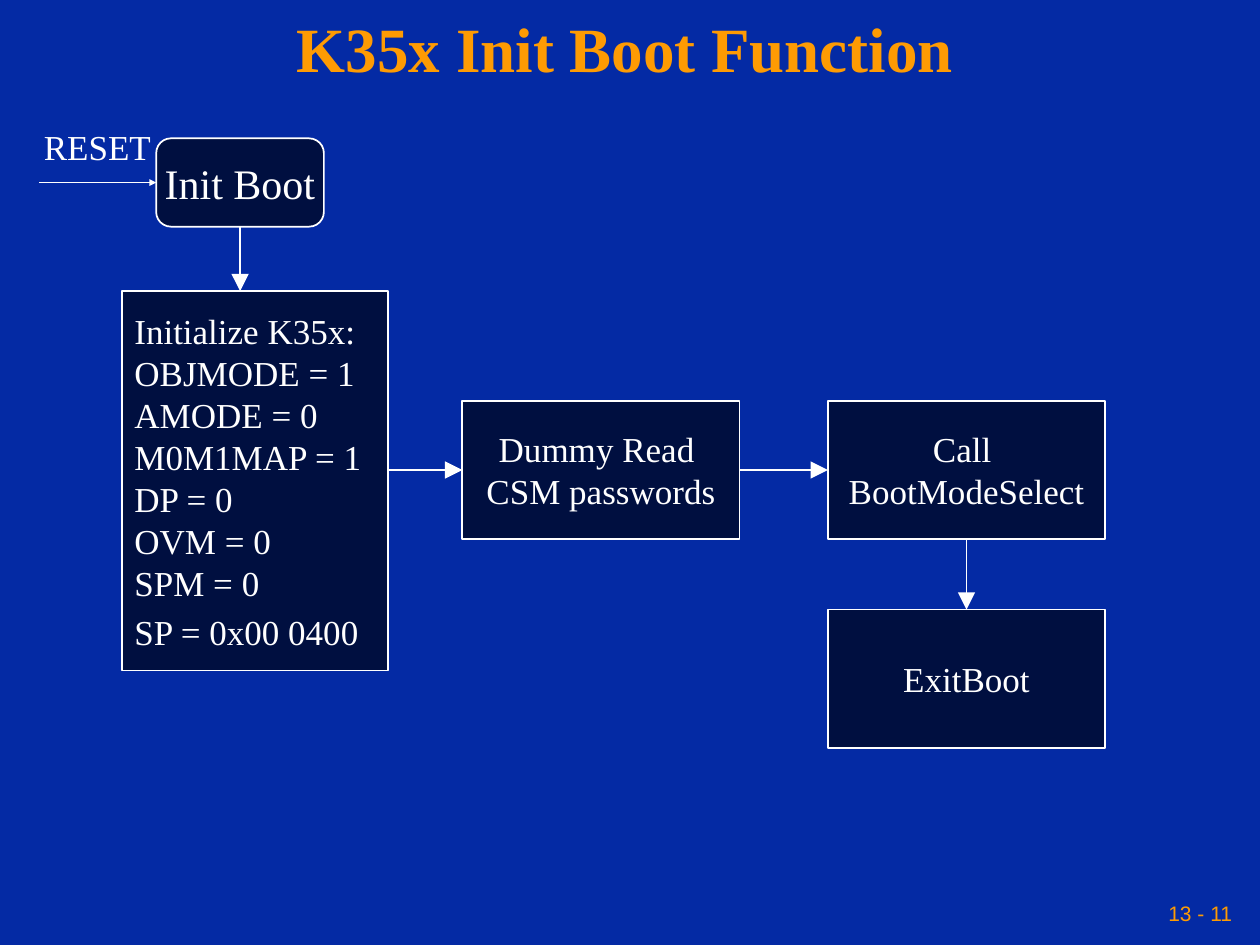
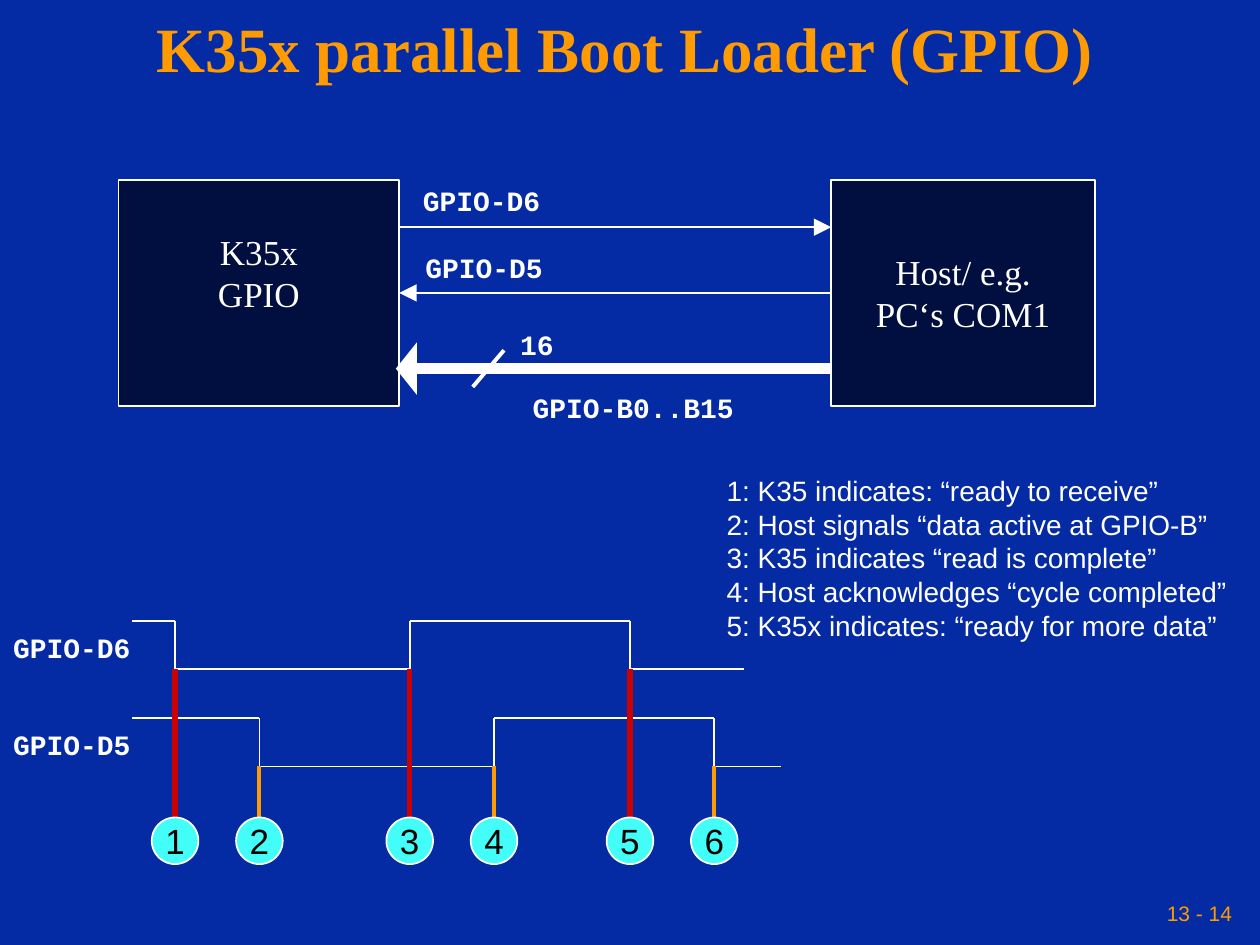
from itertools import pairwise

from lxml import etree
from pptx import Presentation
from pptx.dml.color import RGBColor
from pptx.enum.shapes import MSO_CONNECTOR, MSO_SHAPE
from pptx.enum.text import MSO_ANCHOR as ANCHOR, MSO_AUTO_SIZE, PP_ALIGN as ALIGN
from pptx.oxml.ns import qn
from pptx.util import Cm, Pt

BLUE = RGBColor(0x04, 0x2A, 0xA4)
NAVY = RGBColor(0x00, 0x0F, 0x40)
ORANGE = RGBColor(0xFE, 0x9B, 0x03)
RED = RGBColor(0xCC, 0x00, 0x00)
CYAN = RGBColor(0x43, 0xFD, 0xF9)
WHITE = RGBColor(0xFF, 0xFF, 0xFF)
BLACK = RGBColor(0x00, 0x00, 0x00)
SERIF, SANS, MONO = "Times New Roman", "Arial", "Courier New"


def write(sp, lines, size, font, color=WHITE, bold=False, align=ALIGN.CENTER,
          anchor=ANCHOR.TOP, wrap=False, inset=0.25):
    tf = sp.text_frame
    tf.auto_size = MSO_AUTO_SIZE.NONE
    tf.word_wrap = wrap
    tf.vertical_anchor = anchor
    tf.margin_left = tf.margin_right = Cm(inset)
    tf.margin_top = tf.margin_bottom = Cm(0.13)
    for i, line in enumerate(lines):
        p = tf.add_paragraph() if i else tf.paragraphs[0]
        p.alignment = align
        r = p.add_run()
        r.text = line
        r.font.size = Pt(size)
        r.font.name = font
        r.font.bold = bold
        r.font.color.rgb = color
    return tf


def label(s, x, y, w, h, lines, size, font, **style):
    sp = s.shapes.add_textbox(Cm(x), Cm(y), Cm(w), Cm(h))
    write(sp, lines, size, font, **style)


def signal_label(s, x, y, w, text):
    label(s, x, y, w, 0.94, [text], 16, MONO, bold=True)


def block(s, x, y, w, h, lines, kind=MSO_SHAPE.RECTANGLE, fill=NAVY,
          size=20, font=SERIF, **style):
    sp = s.shapes.add_shape(kind, Cm(x), Cm(y), Cm(w), Cm(h))
    sp.shadow.inherit = False
    sp.fill.solid()
    sp.fill.fore_color.rgb = fill
    sp.line.color.rgb = WHITE
    sp.line.width = Pt(1)
    write(sp, lines, size, font, anchor=ANCHOR.MIDDLE, **style)
    return sp


def line(s, x1, y1, x2, y2, color=WHITE, width=1, head=None, begin=None, end=None):
    c = s.shapes.add_connector(MSO_CONNECTOR.STRAIGHT, Cm(x1), Cm(y1), Cm(x2), Cm(y2))
    c.line.color.rgb = color
    c.line.width = Pt(width)
    if head:
        w, length = head
        etree.SubElement(c.line._get_or_add_ln(), qn("a:tailEnd"),
                         type="triangle", w=w, len=length)
    etree.SubElement(c._element.spPr, qn("a:effectLst"))
    if begin:
        c.begin_connect(*begin)
    if end:
        c.end_connect(*end)


SMALL, LARGE, BROAD = ("sm", "sm"), ("lg", "lg"), ("lg", "sm")


def base_slide(prs, title, number):
    s = prs.slides.add_slide(prs.slide_layouts[5])
    sp = s.shapes.title
    sp.left, sp.top, sp.width, sp.height = Cm(0), Cm(0), Cm(25.2), Cm(2.11)
    tf = write(sp, [title], 36, SERIF, color=ORANGE, bold=True,
               anchor=ANCHOR.MIDDLE, wrap=True, inset=0.13)
    tf.paragraphs[0].line_spacing = 0.9
    label(s, 17.35, 17.98, 7.62, 0.84, [f"13 - {number}"], 12, SANS, color=ORANGE,
          align=ALIGN.RIGHT, anchor=ANCHOR.MIDDLE, wrap=True, inset=0.13)
    return s


def boot_flow(s, x, y):
    step_w, step_h = 5.59, 2.79
    row_y, last_x = y + 5.67, x + 16.06
    mid_y = row_y + step_h / 2
    boot = block(s, x + 2.52, y + 0.38, 3.38, 1.78, ["Init Boot"],
                 kind=MSO_SHAPE.FLOWCHART_ALTERNATE_PROCESS, size=24)
    setup = block(s, x + 1.83, y + 3.46, 5.36, 7.65,
                  ["Initialize K35x:", "OBJMODE = 1", "AMODE = 0", "M0M1MAP = 1",
                   "DP = 0", "OVM = 0", "SPM = 0", "SP = 0x00 0400"],
                  align=ALIGN.LEFT, wrap=True)
    setup.text_frame.paragraphs[-1].space_before = Pt(4)
    dummy = block(s, x + 8.69, row_y, step_w, step_h, ["Dummy Read ", "CSM passwords"])
    call = block(s, last_x, row_y, step_w, step_h, ["Call ", "BootModeSelect"])
    leave = block(s, last_x, y + 9.88, step_w, step_h, ["ExitBoot"])

    label(s, x, y, 2.67, 1.12, ["RESET"], 20, SERIF)
    line(s, x + 0.16, y + 1.27, x + 2.52, y + 1.27, head=SMALL, end=(boot, 1))
    boot_x = x + 2.52 + 3.38 / 2
    line(s, boot_x, y + 2.16, boot_x, y + 3.46, head=LARGE, begin=(boot, 2))
    line(s, x + 7.19, mid_y, x + 8.69, mid_y, head=LARGE, end=(dummy, 1))
    line(s, 0, 0, 0, 0, head=LARGE, begin=(dummy, 3), end=(call, 1))
    line(s, 0, 0, 0, 0, head=LARGE, begin=(call, 2), end=(leave, 0))


def gpio_link(s, x, y):
    chip_w, host_x, h = 5.66, x + 14.37, 4.55
    chip = block(s, x, y, chip_w, h, ["K35x", "GPIO"])
    chip.text_frame.margin_bottom = Cm(0.94)
    host = block(s, host_x, y, 5.31, h, ["Host/ e.g.", "PC‘s COM1"])
    right = x + chip_w
    bus_y = y + 3.8
    line(s, right, y + 0.95, host_x, y + 0.95, head=LARGE)
    line(s, 0, 0, 0, 0, head=LARGE, begin=(host, 1), end=(chip, 3))
    line(s, host_x, bus_y, right - 0.07, bus_y, width=6, head=BROAD)
    line(s, x + 7.77, bus_y - 0.37, x + 7.14, bus_y + 0.37, width=2.25)
    signal_label(s, x + 5.87, y - 0.05, 2.9, "GPIO-D6")
    signal_label(s, x + 5.92, y + 1.3, 2.9, "GPIO-D5")
    signal_label(s, x + 7.85, y + 2.85, 1.17, "16")
    signal_label(s, x + 8.1, y + 4.12, 4.55, "GPIO-B0..B15")


def timing(s, x, y):
    swing, marker_y, d = 0.97, y + 3.96, 0.94
    edges = [x + 3.53, x + 8.26, x + 12.7]
    signals = [("GPIO-D6", 0, 0, 14.99, RED, 3),
               ("GPIO-D5", 1.96, 1.7, 15.75, ORANGE, 2.25)]
    markers = []
    for name, drop, delay, end, color, width in signals:
        high = y + drop
        low = high + swing
        signal_label(s, x, high + 0.06, 2.9, name)
        level, other = high, low
        points = [(x + 2.67, high)]
        for edge in edges:
            points += [(edge + delay, level), (edge + delay, other)]
            level, other = other, level
            markers.append((edge + delay, low, color, width))
        points.append((x + end, level))
        for a, b in pairwise(points):
            line(s, *a, *b)
    for i, (mx, low, color, width) in enumerate(sorted(markers), 1):
        line(s, mx, low, mx, marker_y, color=color, width=width)
        block(s, mx - d / 2, marker_y, d, d, [str(i)], kind=MSO_SHAPE.OVAL,
              fill=CYAN, font=SANS, color=BLACK)


def legend(s, x, y):
    label(s, x, y, 10.57, 3.66,
          ["1: K35 indicates: “ready to receive”",
           "2: Host signals “data active at GPIO-B”",
           "3: K35 indicates “read is complete”",
           "4: Host acknowledges “cycle completed”",
           "5: K35x indicates: “ready for more data”"],
          16, SANS, align=ALIGN.LEFT)


def main():
    prs = Presentation()
    prs.slide_width, prs.slide_height = Cm(25.4), Cm(19.05)
    bg = prs.slide_master.background.fill
    bg.solid()
    bg.fore_color.rgb = BLUE

    s = base_slide(prs, "K35x Init Boot Function", 11)
    boot_flow(s, 0.63, 2.41)

    s = base_slide(prs, "K35x parallel Boot Loader (GPIO)", 14)
    gpio_link(s, 2.39, 3.63)
    timing(s, 0, 12.52)
    legend(s, 14.4, 9.42)

    prs.save("out.pptx")


if __name__ == "__main__":
    main()
